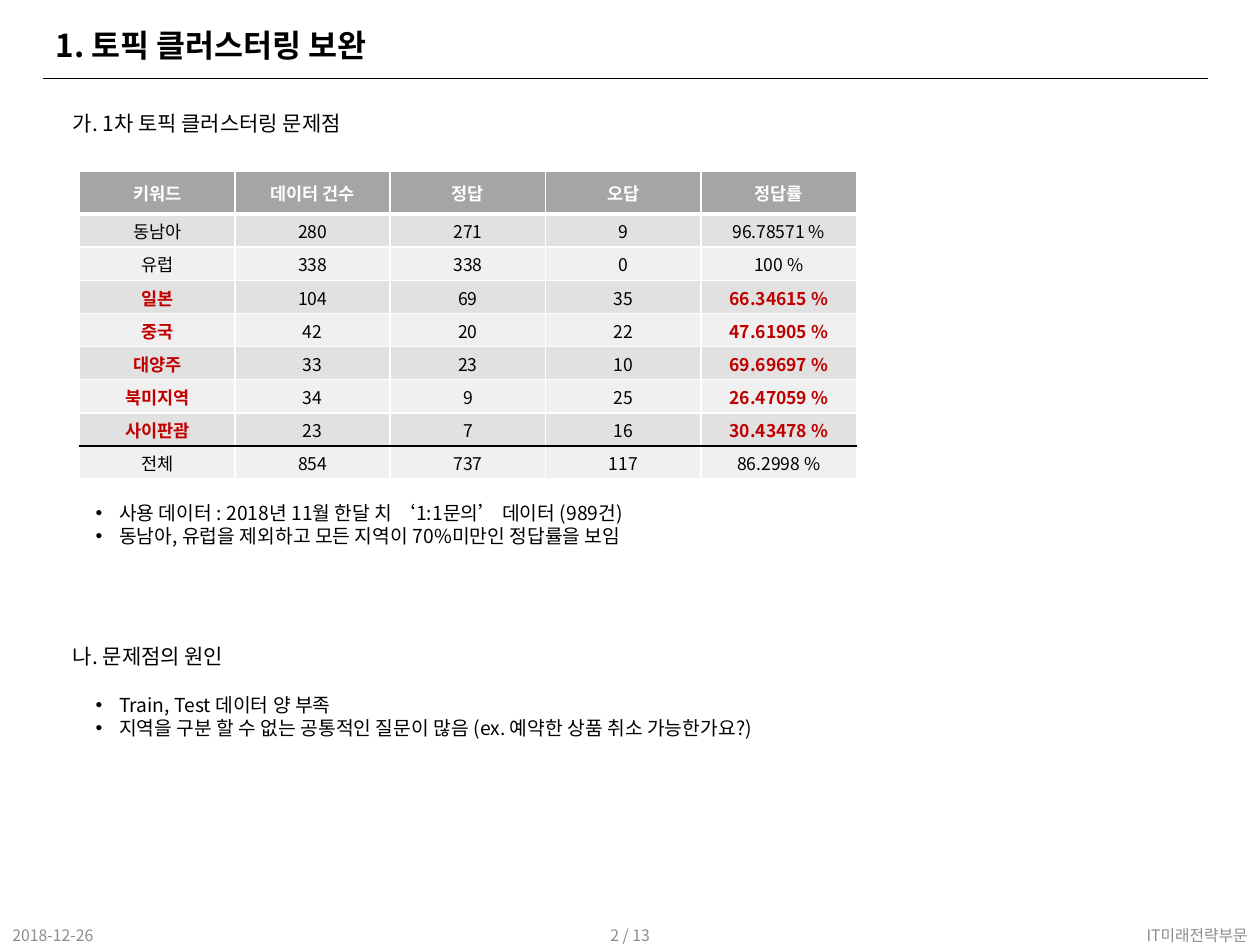
from lxml.etree import SubElement
from pptx import Presentation
from pptx.dml.color import RGBColor
from pptx.enum.shapes import MSO_CONNECTOR
from pptx.enum.text import MSO_ANCHOR as Anchor, MSO_AUTO_SIZE as AutoSize, PP_ALIGN as Align
from pptx.oxml.ns import qn
from pptx.util import Pt

FONT = "Noto Sans CJK KR"
BLACK = RGBColor(0x00, 0x00, 0x00)
WHITE = RGBColor(0xFF, 0xFF, 0xFF)
RED = RGBColor(0xC0, 0x00, 0x00)
FOOTER_GRAY = RGBColor(0x8C, 0x8C, 0x8C)
HEADER_GRAY = RGBColor(0xA5, 0xA5, 0xA5)
BANDS = RGBColor(0xE1, 0xE1, 0xE1), RGBColor(0xF0, 0xF0, 0xF0)


class SlideWriter:
    def __init__(self, slide):
        self.slide = slide

    def run(self, paragraph, text, size, color=BLACK, bold=False):
        run = paragraph.add_run()
        run.text = text
        font = run.font
        font.name, font.size, font.bold = FONT, Pt(size), bold
        font.color.rgb = color
        SubElement(font._element, qn("a:ea"), typeface=FONT)

    def title(self, text, left, top, width, height):
        title = self.slide.shapes.title
        title.left, title.top, title.width, title.height = map(Pt, (left, top, width, height))
        frame = title.text_frame
        frame.auto_size, frame.vertical_anchor = AutoSize.NONE, Anchor.TOP
        paragraph = frame.paragraphs[0]
        paragraph.alignment = Align.LEFT
        self.run(paragraph, text, 18, bold=True)

    def text(self, lines, left, top, width, height, size, color=BLACK,
             align=Align.LEFT, anchor=Anchor.TOP, bullet=False):
        frame = self.slide.shapes.add_textbox(*map(Pt, (left, top, width, height))).text_frame
        frame.word_wrap, frame.vertical_anchor = True, anchor
        for index, line in enumerate(lines):
            paragraph = frame.add_paragraph() if index else frame.paragraphs[0]
            paragraph.alignment = align
            if bullet:
                props = paragraph._p.get_or_add_pPr()
                props.set("marL", str(Pt(13.5)))
                props.set("indent", str(Pt(-13.5)))
                SubElement(props, qn("a:buFont"), typeface="Arial")
                SubElement(props, qn("a:buChar"), char="•")
            self.run(paragraph, line, size, color)

    def rule(self, left, right, y):
        line = self.slide.shapes.add_connector(
            MSO_CONNECTOR.STRAIGHT, Pt(left), Pt(y), Pt(right), Pt(y))
        line.line.color.rgb, line.line.width = BLACK, Pt(0.5)
        SubElement(line._element.spPr, qn("a:effectLst"))

    def borders(self, cell, top, bottom):
        props = cell._tc.get_or_add_tcPr()
        sides = {"lnL": (WHITE, 1), "lnR": (WHITE, 1), "lnT": top, "lnB": bottom}
        for position, (side, (color, width)) in enumerate(sides.items()):
            line = SubElement(props, qn(f"a:{side}"), w=str(Pt(width)))
            fill = SubElement(line, qn("a:solidFill"))
            SubElement(fill, qn("a:srgbClr"), val=str(color))
            props.insert(position, line)

    def table(self, rows, left, top, column_width, header_height, row_height, weak_limit):
        columns = len(rows[0])
        height = header_height + row_height * (len(rows) - 1)
        table = self.slide.shapes.add_table(
            len(rows), columns, Pt(left), Pt(top), Pt(column_width * columns), Pt(height)).table
        for column in table.columns:
            column.width = Pt(column_width)
        # Border below each row: thick under the header, black above the total
        edges = [(WHITE, 1)] * (len(rows) + 1)
        edges[1], edges[-2] = (WHITE, 3), (BLACK, 1)
        for r, values in enumerate(rows):
            header = r == 0
            table.rows[r].height = Pt(header_height if header else row_height)
            weak = not header and float(values[-1].split()[0]) < weak_limit
            for c, value in enumerate(values):
                cell = table.cell(r, c)
                cell.fill.solid()
                cell.fill.fore_color.rgb = HEADER_GRAY if header else BANDS[(r - 1) % 2]
                cell.vertical_anchor = Anchor.MIDDLE
                cell.margin_left = cell.margin_right = cell.margin_top = Pt(0.75)
                cell.margin_bottom = Pt(0)
                self.borders(cell, edges[r], edges[r + 1])
                paragraph = cell.text_frame.paragraphs[0]
                paragraph.alignment = Align.CENTER
                marked = weak and c in (0, columns - 1)
                color = WHITE if header else RED if marked else BLACK
                self.run(paragraph, value, 10, color, header or marked)


deck = Presentation()
deck.slide_width, deck.slide_height = Pt(720), Pt(540)
writer = SlideWriter(deck.slides.add_slide(deck.slide_layouts[5]))

# Heading
writer.title("1. 토픽 클러스터링 보완", 24.5, 11.5, 453, 29)
writer.rule(24.5, 690.5, 44.6)

# Footer
for label, left, width, align in [
    ("2018-12-26", 0, 162, Align.LEFT),
    ("IT미래전략부문", 636.5, 83.5, Align.RIGHT),
    ("2 / 13", 279, 162, Align.CENTER),
]:
    writer.text([label], left, 529, width, 11, 9, FOOTER_GRAY, align, Anchor.MIDDLE)

# Sections: heading and findings
for heading, heading_top, findings, findings_top in [
    ("가. 1차 토픽 클러스터링 문제점", 59.8,
     ["사용 데이터 : 2018년 11월 한달 치 ‘1:1문의’ 데이터 (989건)",
      "동남아, 유럽을 제외하고 모든 지역이 70%미만인 정답률을 보임"], 283),
    ("나. 문제점의 원인", 364.3,
     ["Train, Test 데이터 양 부족",
      "지역을 구분 할 수 없는 공통적인 질문이 많음 (ex. 예약한 상품 취소 가능한가요?)"], 392.4),
]:
    writer.text([heading], 34.6, heading_top, 211, 21.6, 12)
    writer.text(findings, 47.5, findings_top, 541, 34, 11, bullet=True)

# Accuracy by keyword
writer.table([
    ("키워드", "데이터 건수", "정답", "오답", "정답률"),
    ("동남아", "280", "271", "9", "96.78571 %"),
    ("유럽", "338", "338", "0", "100 %"),
    ("일본", "104", "69", "35", "66.34615 %"),
    ("중국", "42", "20", "22", "47.61905 %"),
    ("대양주", "33", "23", "10", "69.69697 %"),
    ("북미지역", "34", "9", "25", "26.47059 %"),
    ("사이판괌", "23", "7", "16", "30.43478 %"),
    ("전체", "854", "737", "117", "86.2998 %"),
], 45.4, 98, 88.8, 24.3, 18.95, weak_limit=70)

deck.save("out.pptx")
